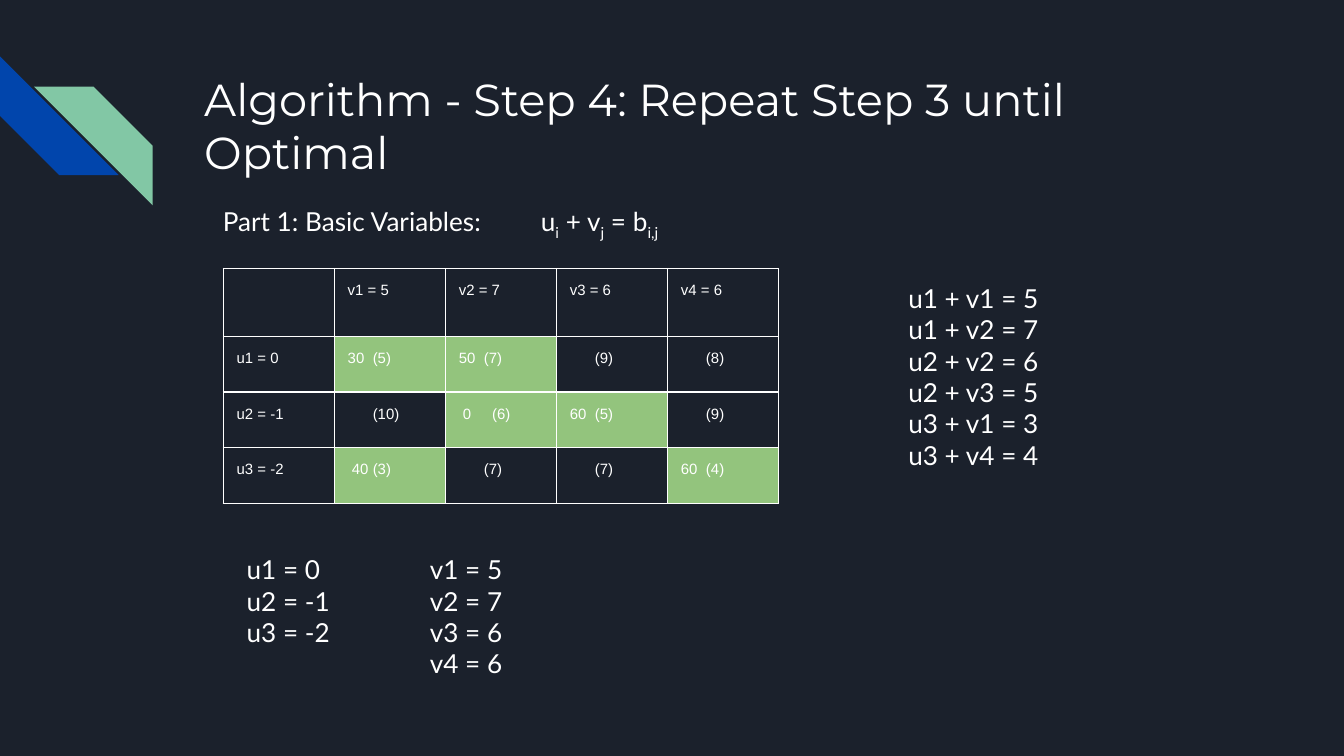
from lxml.etree import SubElement
from pptx import Presentation
from pptx.dml.color import RGBColor
from pptx.enum.shapes import MSO_SHAPE
from pptx.enum.text import MSO_ANCHOR, MSO_AUTO_SIZE, PP_ALIGN
from pptx.oxml.ns import qn
from pptx.util import Pt

NIGHT = RGBColor(0x1B, 0x21, 0x2C)
BLUE = RGBColor(0x01, 0x45, 0xAC)
MINT = RGBColor(0x82, 0xC7, 0xA5)
BASIC_GREEN = RGBColor(0x93, 0xC4, 0x7D)
WHITE = RGBColor(0xFF, 0xFF, 0xFF)
INSET = Pt(7.2)


def style(paragraph, font_name, size, tabs=()):
    if tabs:
        tab_list = SubElement(paragraph._p.get_or_add_pPr(), qn("a:tabLst"))
        for position in tabs:
            SubElement(tab_list, qn("a:tab"), pos=str(Pt(position)), algn="l")
    paragraph.font.name = font_name
    paragraph.font.size = Pt(size)
    paragraph.font.color.rgb = WHITE


def set_insets(frame):
    frame.margin_left = frame.margin_right = INSET
    frame.margin_top = frame.margin_bottom = INSET


deck = Presentation()
deck.slide_width, deck.slide_height = Pt(720), Pt(405)
slide = deck.slides.add_slide(deck.slide_layouts[5])
slide.background.fill.solid()
slide.background.fill.fore_color.rgb = NIGHT

for left, top, rotation, color in [(0, 30.2, 270, BLUE), (18.2, 46.4, 90, MINT)]:
    stripe = slide.shapes.add_shape(
        MSO_SHAPE.DIAGONAL_STRIPE, Pt(left), Pt(top), Pt(63.6), Pt(63.6))
    stripe.rotation = rotation
    stripe.shadow.inherit = False
    stripe.fill.solid()
    stripe.fill.fore_color.rgb = color
    stripe.line.fill.background()

title = slide.shapes.title
title.left, title.top, title.width, title.height = Pt(102.2), Pt(31), Pt(554.4), Pt(72)
heading = title.text_frame
heading.text = "Algorithm - Step 4: Repeat Step 3 until Optimal"
heading.word_wrap = True
heading.auto_size = MSO_AUTO_SIZE.NONE
heading.vertical_anchor = MSO_ANCHOR.MIDDLE
set_insets(heading)
heading.paragraphs[0].alignment = PP_ALIGN.LEFT
style(heading.paragraphs[0], "Montserrat", 24)

COST_TAB = 13.4
QUANTITY_TAB = 2.2
allocations = [
    ["", "v1 = 5", "v2 = 7", "v3 = 6", "v4 = 6"],
    ["u1 = 0", "30\t(5)", "50\t(7)", "\t(9)", "\t(8)"],
    ["u2 = -1", "\t(10)", "\t0\t(6)", "60\t(5)", "\t(9)"],
    ["u3 = -2", "\t40\t(3)", "\t(7)", "\t(7)", "60\t(4)"],
]
cell_tabs = {"\t0\t(6)": (QUANTITY_TAB, 17.8), "\t40\t(3)": (QUANTITY_TAB, COST_TAB)}
basic_cells = {(1, 1), (1, 2), (2, 2), (2, 3), (3, 1), (3, 4)}

tableau = slide.shapes.add_table(4, 5, Pt(119.6), Pt(143.8), Pt(297.5), Pt(124.2)).table
tableau.first_row = tableau.horz_banding = False
for column in tableau.columns:
    column.width = Pt(59.5)
for row, height in zip(tableau.rows, [34.8, 29.8, 29.8, 29.8]):
    row.height = Pt(height)

for r, entries in enumerate(allocations):
    for c, entry in enumerate(entries):
        cell = tableau.cell(r, c)
        set_insets(cell)
        for side in ("a:lnL", "a:lnR", "a:lnT", "a:lnB"):
            border = SubElement(cell._tc.get_or_add_tcPr(), qn(side), w=str(Pt(0.75)))
            border_fill = SubElement(border, qn("a:solidFill"))
            SubElement(border_fill, qn("a:srgbClr"), val=str(WHITE))
        if (r, c) in basic_cells:
            cell.fill.solid()
            cell.fill.fore_color.rgb = BASIC_GREEN
        else:
            cell.fill.background()
        if entry:
            cell.text = entry
            tabs = cell_tabs.get(entry, (COST_TAB,)) if "\t" in entry else ()
            style(cell.text_frame.paragraphs[0], "Arial", 8, tabs)

equations = ["u1 + v1 = 5", "u1 + v2 = 7", "u2 + v2 = 6",
             "u2 + v3 = 5", "u3 + v1 = 3", "u3 + v4 = 4"]
u_values = ["u1 = 0", "u2 = -1", "u3 = -2"]
v_values = ["v1 = 5", "v2 = 7", "v3 = 6", "v4 = 6"]
for lines, left, top, width, height in [
    (equations, 479.5, 144, 90, 132.5),
    (u_values, 125, 289.4, 59, 82),
    (v_values, 223.2, 289.4, 59, 82),
]:
    values = slide.shapes.add_textbox(Pt(left), Pt(top), Pt(width), Pt(height)).text_frame
    values.word_wrap = True
    set_insets(values)
    values.text = "\n".join(lines)
    for paragraph in values.paragraphs:
        style(paragraph, "Lato", 14)

condition = slide.shapes.add_textbox(Pt(112.3), Pt(103), Pt(297.4), Pt(33.8)).text_frame
condition.word_wrap = True
set_insets(condition)
formula = condition.paragraphs[0]
style(formula, "Lato", 14, (170.4,))
for base, subscript in [("Part 1: Basic Variables:\tu", "i"), (" + v", "j"), (" = b", "i,j")]:
    formula.add_run().text = base
    index = formula.add_run()
    index.text = subscript
    index.font._element.set("baseline", "-25000")

deck.save("out.pptx")
